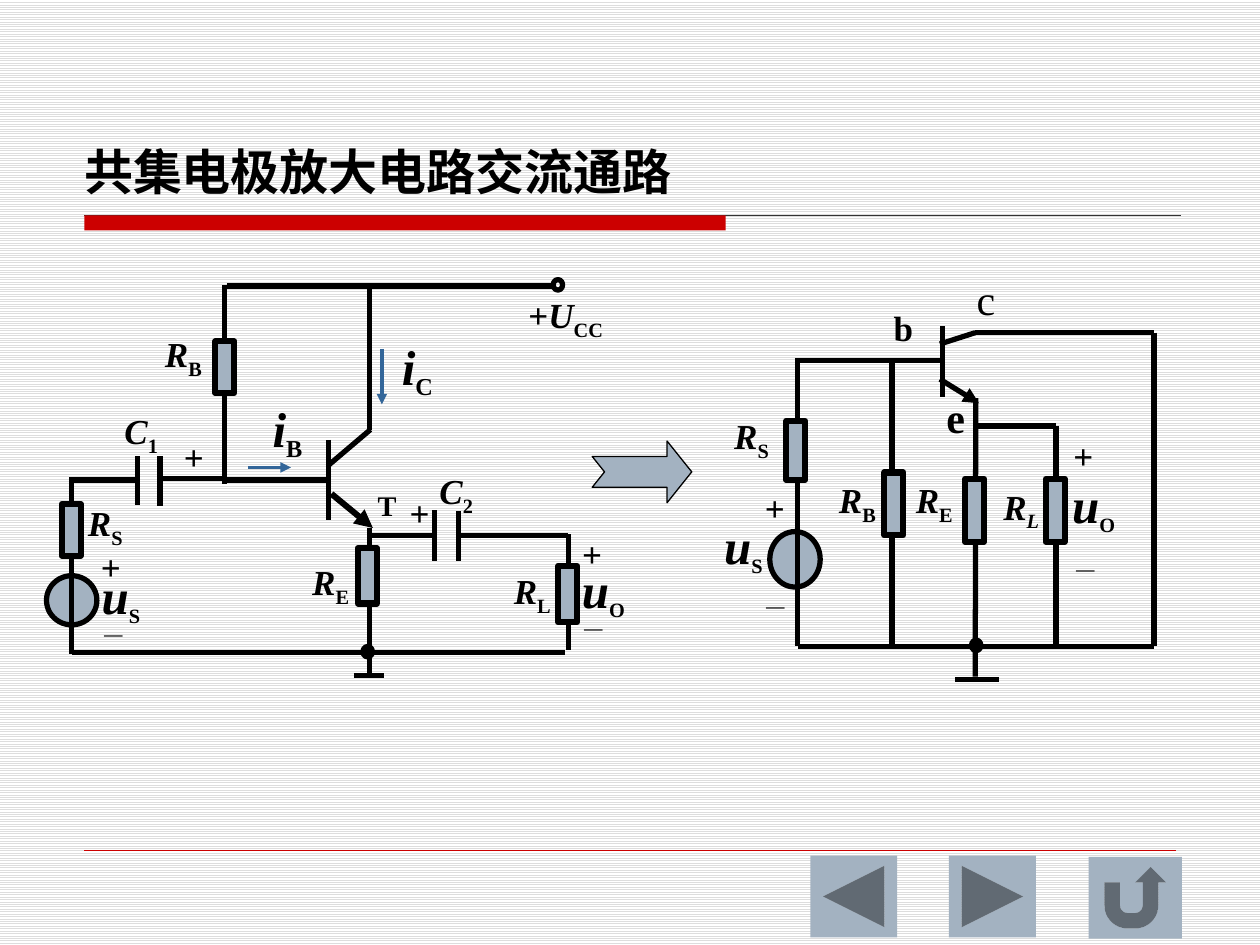
from lxml.etree import SubElement
from pptx import Presentation
from pptx.dml.color import RGBColor
from pptx.enum.dml import MSO_PATTERN
from pptx.enum.shapes import MSO_CONNECTOR, MSO_SHAPE
from pptx.enum.text import MSO_ANCHOR, MSO_AUTO_SIZE, PP_ALIGN
from pptx.oxml.ns import qn
from pptx.util import Pt

HUE = {"ink": "000000", "part": "A3B2C1", "flow": "336699", "red": "CC0000",
       "rule": "333333", "paper": "FFFFFF", "stripe": "DDDDDD"}
SERIF, SANS = "Times New Roman", "Noto Sans CJK SC"
TITLE = "共集电极放大电路交流通路"

# main sign: (size, subscript size, box width)
SIGNS = {"R": (20, 20, 36.7), "C": (20, 20, 34.6), "u": (28, 20, 38.9),
         "i": (28, 24, 33.5), "+U": (20, 20, 59), "": (28, 28, 27.4),
         "+": (20, 20, 25.9), "－": (14, 14, 28.8), "b": (20, 20, 25.9),
         "c": (24, 24, 25.2), "e": (24, 24, 25.2)}

# Wires: x1, y1, x2, y2. Resistors: x, y, height. Labels: main, sub, x, y.
AMP = {
    "source": (26.6, 329, 28.8, 28.1),
    "wires": [
        (324.7, 305.3, 324.7, 371.5), (41, 373, 322.6, 373),
        (128.2, 274.3, 187.2, 274.3), (187.9, 251.3, 187.9, 297.4),
        (187.9, 265.7, 211.7, 245.5), (211.3, 162.7, 211.3, 245.5),
        (211, 301.7, 211, 387.4), (129.6, 163.4, 317.5, 163.4),
        (41, 275, 41, 373.7), (90.7, 273.6, 127.4, 273.6),
        (202.3, 385.9, 219.6, 385.9), (128.2, 162.7, 128.2, 276.5),
        (262.8, 306, 324.7, 306), (248.4, 291.6, 248.4, 320.4),
        (262.1, 292.3, 262.1, 320.4), (210.2, 306, 248.4, 306),
        (78.5, 260.6, 78.5, 288.7), (91.4, 260.6, 91.4, 289.4),
        (39.6, 274.3, 78.5, 274.3)],
    "emitter": (189.4, 282.2, 213.1, 301.7, 3.5),
    "flows": [(218.2, 199.4, 218.2, 231.1), (141.8, 267.1, 166.3, 267.1)],
    "resistors": [(35.3, 288, 29.5), (319, 323.3, 32.4),
                  (204.5, 313.2, 31.7), (123.1, 195.1, 29.5)],
    "nodes": [(207.4, 369.4, "ink"), (316.1, 159.8, None)],
    "labels": [
        ("R", "S", 41.8, 283), ("u", "S", 49.7, 319.7), ("+", "", 325.4, 301),
        ("－", "", 324.7, 347.8), ("R", "L", 285.8, 321.8),
        ("i", "C", 221.8, 188.6), ("i", "B", 147.6, 223.9),
        ("", "T", 207.4, 256.3), ("C", "2", 243.4, 265),
        ("C", "1", 63.4, 230.4), ("+", "", 97.9, 245.5),
        ("+", "", 226.8, 277.2), ("R", "B", 86.4, 186.5),
        ("R", "E", 170.6, 316.8), ("+U", "CC", 293.8, 164.2),
        ("+", "", 50.4, 308.2), ("－", "", 50.4, 351.4),
        ("u", "O", 325.4, 316.1)],
}
AC = {
    "source": (439.9, 303.8, 28.8, 31.7),
    "wires": [
        (538.6, 186.5, 538.6, 226.8), (537.1, 196.6, 557.3, 190.1),
        (557.6, 227.5, 557.3, 386.6), (557.3, 190.1, 659.5, 190.1),
        (659.5, 190.1, 659.5, 369.4), (454.3, 205.9, 537.1, 205.9),
        (509.8, 205.9, 509.8, 369.4), (455.8, 369.4, 659.5, 369.4),
        (545.8, 388.1, 571, 388.1), (455.8, 205.9, 455.8, 369.4),
        (557.3, 243.4, 603.4, 243.4), (603.4, 243.4, 603.4, 369.4)],
    "emitter": (537.1, 216.7, 559.4, 230.4, 3),
    "flows": [],
    "resistors": [(449.3, 240.5, 33.8), (505.4, 270, 36),
                  (597.6, 273.6, 36), (551.5, 273.6, 36)],
    "nodes": [(555.1, 365.8, "ink")],
    "labels": [
        ("c", "", 550.8, 152.6), ("R", "S", 411.1, 233.3),
        ("+", "", 429.8, 274.3), ("－", "", 429.1, 335.5),
        ("u", "S", 405.4, 290.9), ("R", "B", 471.6, 270),
        ("R", "E", 515.5, 270), ("R", "L", 565.2, 273.6),
        ("+", "", 606.2, 244.8), ("－", "", 606.2, 313.9),
        ("u", "O", 605.5, 267.8), ("b", "", 503.3, 171.4),
        ("e", "", 533.5, 220.3)],
    "slant": "L",
}
BUTTONS = [
    (MSO_SHAPE.ACTION_BUTTON_BACK_OR_PREVIOUS, (463, 488.9, 49.7, 46.8)),
    (MSO_SHAPE.ACTION_BUTTON_FORWARD_OR_NEXT, (542.2, 488.9, 49.7, 46.8)),
    (MSO_SHAPE.ACTION_BUTTON_RETURN, (622.1, 489.6, 53.3, 46.8))]


def rgb(name):
    return RGBColor.from_string(HUE[name])


def line(host, ends, hue="ink", width=3, arrow=False):
    wire = host.add_connector(MSO_CONNECTOR.STRAIGHT, *map(Pt, ends))
    wire.line.color.rgb = rgb(hue)
    wire.line.width = Pt(width)
    if arrow:
        SubElement(wire.line._get_or_add_ln(), qn("a:tailEnd"), type="triangle")
    SubElement(wire._element.spPr, qn("a:effectLst"))


def shape(host, kind, box, fill="part", width=0):
    form = host.add_shape(kind, *map(Pt, box))
    form.shadow.inherit = False
    if fill:
        form.fill.solid()
        form.fill.fore_color.rgb = rgb(fill)
    else:
        form.fill.background()
    if width:
        form.line.color.rgb = rgb("ink")
        form.line.width = Pt(width)
    else:
        form.line.fill.background()
    return form


def text(host, runs, box, font=SERIF, bold=True, align=PP_ALIGN.CENTER,
         wrap=False, anchor=MSO_ANCHOR.TOP):
    """Add one line of (words, size, italic, lowered) runs."""
    frame = host.add_textbox(*map(Pt, box)).text_frame
    frame.word_wrap = wrap
    frame.vertical_anchor = anchor
    if not wrap:
        frame.auto_size = MSO_AUTO_SIZE.SHAPE_TO_FIT_TEXT
    para = frame.paragraphs[0]
    para.alignment = align
    for words, size, italic, low in runs:
        run = para.add_run()
        run.text = words
        run.font.size, run.font.name = Pt(size), font
        run.font.bold, run.font.italic = bold, italic
        run.font.color.rgb = rgb("ink")
        props = run.font._element
        SubElement(props, qn("a:ea"), typeface=font)
        if low:
            props.set("baseline", "-25000")


def label(host, main, sub, x, y, slant):
    size, small, width = SIGNS[main]
    runs = [(sign, size, bool(sub) and sign != "+", False) for sign in main]
    if sub:
        runs.append((sub, small, sub == slant, True))
    text(host, runs, (x, y, width, size * 1.2 + 7.2), bold=main != "c")


def circuit(slide, plan):
    host = slide.shapes.add_group_shape().shapes
    shape(host, MSO_SHAPE.OVAL, plan["source"], width=3)
    for ends in plan["wires"]:
        line(host, ends)
    *ends, width = plan["emitter"]
    line(host, ends, width=width, arrow=True)
    for ends in plan["flows"]:
        line(host, ends, "flow", 2, arrow=True)
    for x, y, tall in plan["resistors"]:
        shape(host, MSO_SHAPE.RECTANGLE, (x, y, 10.8, tall), width=3.5)
    for x, y, fill in plan["nodes"]:
        shape(host, MSO_SHAPE.OVAL, (x, y, 5.4, 6), fill, 3)
    for row in plan["labels"]:
        label(host, *row, plan.get("slant"))


def main():
    deck = Presentation()
    deck.slide_width, deck.slide_height = Pt(720), Pt(540)
    slide = deck.slides.add_slide(deck.slide_layouts[6])
    back = slide.background.fill
    back.patterned()
    back.pattern = MSO_PATTERN.LIGHT_HORIZONTAL
    back.fore_color.rgb, back.back_color.rgb = rgb("stripe"), rgb("paper")

    host = slide.shapes
    line(host, (48.2, 123.1, 674.6, 123.1), "rule", 0.75)
    shape(host, MSO_SHAPE.RECTANGLE, (48.2, 123.1, 366.5, 8.6), "red")
    line(host, (48.2, 486, 671.8, 486), "red", 0.25)
    circuit(slide, AMP)
    circuit(slide, AC)
    text(host, [(TITLE, 28, False, False)], (41, 74.9, 361.4, 45.4), font=SANS,
         align=PP_ALIGN.LEFT, wrap=True, anchor=MSO_ANCHOR.MIDDLE)
    arrow = shape(host, MSO_SHAPE.NOTCHED_RIGHT_ARROW,
                  (338.4, 252, 56.9, 35.3), width=0.75)
    arrow.adjustments[0], arrow.adjustments[1] = 0.5, 0.4
    for kind, box in BUTTONS:
        shape(host, kind, box)
    deck.save("out.pptx")


if __name__ == "__main__":
    main()
